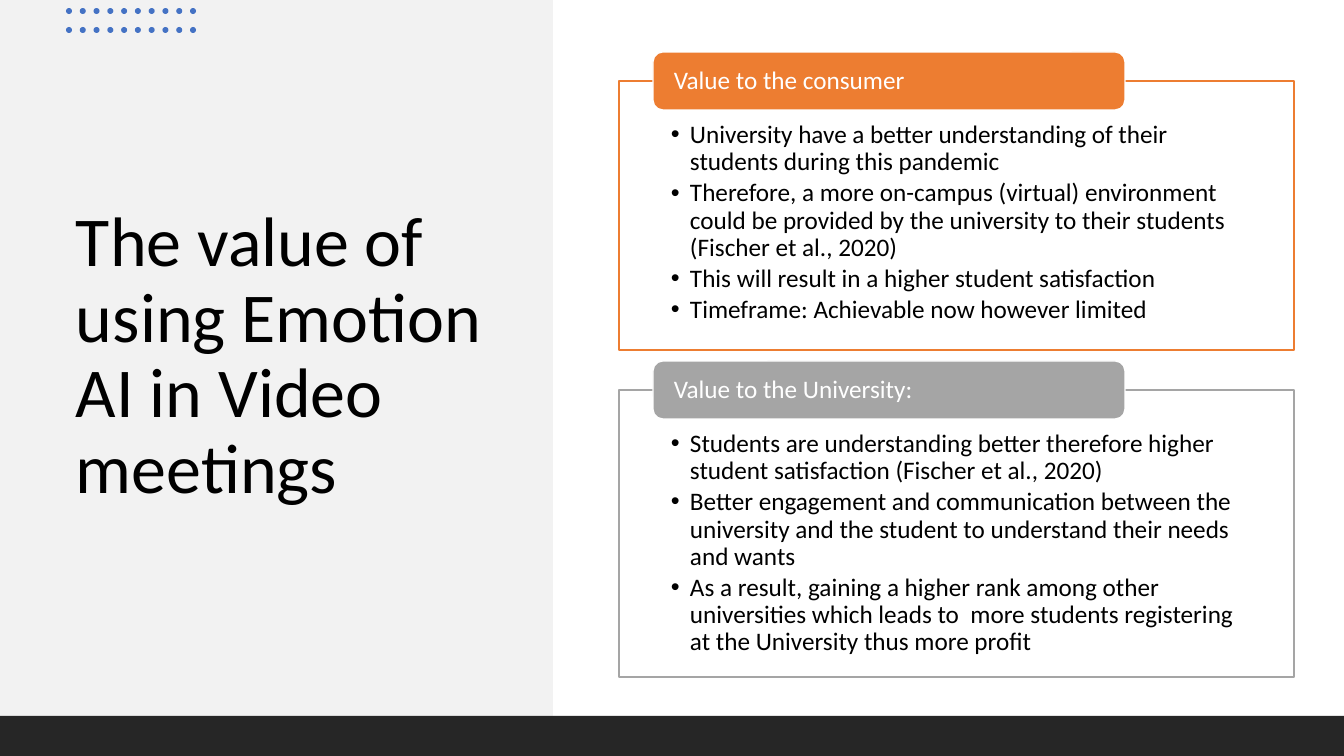
from lxml import etree
from pptx import Presentation
from pptx.dml.color import RGBColor
from pptx.enum.shapes import MSO_SHAPE
from pptx.enum.text import MSO_ANCHOR, PP_ALIGN
from pptx.oxml.ns import qn
from pptx.util import Pt

RECT, ROUND, OVAL = MSO_SHAPE.RECTANGLE, MSO_SHAPE.ROUNDED_RECTANGLE, MSO_SHAPE.OVAL
TOP, MIDDLE, LEFT = MSO_ANCHOR.TOP, MSO_ANCHOR.MIDDLE, PP_ALIGN.LEFT

TITLE = "The value of using Emotion AI in Video meetings"
# heading, colour, box top, box height, points
VALUES = [
    ("Value to the consumer", "ED7D31", 81, 269, [
        "University have a better understanding of their students during this pandemic",
        "Therefore, a more on-campus (virtual) environment could be provided by the "
        "university to their students (Fischer et al., 2020)",
        "This will result in a higher student satisfaction",
        "Timeframe: Achievable now however limited",
    ]),
    ("Value to the University:", "A5A5A5", 390, 287, [
        "Students are understanding better therefore higher student satisfaction "
        "(Fischer et al., 2020)",
        "Better engagement and communication between the university and the student to "
        "understand their needs and wants",
        "As a result, gaining a higher rank among other universities which leads to  more "
        "students registering at the University thus more profit",
    ]),
]

FONT = "Calibri"
BLACK, WHITE = "000000", "FFFFFF"
PANEL, FOOTER, DOT = "F2F2F2", "262626", "4472C4"
SLIDE_W, SLIDE_H = 1344, 756
PANEL_W, FOOTER_TOP = 553, 716
DOT_LEFT, DOT_SPAN, DOT_COLUMNS, DOT_ROWS, DOT_SIZE = 66, 124, 10, (8, 27), 6
BOX_LEFT, BOX_W = 619, 675
TAB_LEFT, TAB_W, TAB_H = 653, 472, 58
HANGING = 19


def px(length):
    return round(length * 914400 / 100.8)


def rgb(value):
    return RGBColor.from_string(value)


def add_block(kind, box, fill, line=None):
    block = slide.shapes.add_shape(kind, *map(px, box))
    block.shadow.inherit = False
    block.fill.solid()
    block.fill.fore_color.rgb = rgb(fill)
    if line:
        block.line.color.rgb = rgb(line)
        block.line.width = Pt(1)
    else:
        block.line.fill.background()
    return block


def write(block, paragraphs, size, color, anchor, insets, space_after=0, bullets=False):
    """Fill the block with paragraphs; insets are left, top, right, bottom in px."""
    frame = block.text_frame
    sides = ("margin_left", "margin_top", "margin_right", "margin_bottom")
    settings = dict(zip(sides, map(px, insets)), word_wrap=True, vertical_anchor=anchor)
    for name, value in settings.items():
        setattr(frame, name, value)
    for index, text in enumerate(paragraphs):
        paragraph = frame.paragraphs[0] if index == 0 else frame.add_paragraph()
        layout = {"alignment": LEFT, "line_spacing": 0.9, "space_after": Pt(space_after)}
        for name, value in layout.items():
            setattr(paragraph, name, value)
        run = paragraph.add_run()
        run.text = text
        for name, value in {"name": FONT, "size": Pt(size)}.items():
            setattr(run.font, name, value)
        run.font.color.rgb = rgb(color)
        if bullets:
            paragraph.level = 1
            properties = paragraph._p.get_or_add_pPr()
            properties.set("marL", str(px(HANGING)))
            properties.set("indent", str(-px(HANGING)))
            etree.SubElement(properties, qn("a:buFont")).set("typeface", "Arial")
            etree.SubElement(properties, qn("a:buChar")).set("char", "•")


def set_opacity(block, percent):
    color = block._element.spPr.find(qn("a:solidFill"))[0]
    etree.SubElement(color, qn("a:alpha")).set("val", str(percent * 1000))


prs = Presentation()
prs.slide_width, prs.slide_height = px(SLIDE_W), px(SLIDE_H)
slide = prs.slides.add_slide(prs.slide_layouts[6])

add_block(RECT, (0, 0, PANEL_W, FOOTER_TOP), PANEL)
title = slide.shapes.add_textbox(*map(px, (66, 133, 427, 449)))
write(title, [TITLE], 50, BLACK, MIDDLE, (10, 5, 10, 5))

for column in range(DOT_COLUMNS):
    dot_left = DOT_LEFT + column * DOT_SPAN / (DOT_COLUMNS - 1)
    for dot_top in DOT_ROWS:
        add_block(OVAL, (dot_left, dot_top, DOT_SIZE, DOT_SIZE), DOT)

add_block(RECT, (0, FOOTER_TOP, SLIDE_W, SLIDE_H - FOOTER_TOP), FOOTER)

for heading, color, top, height, points in VALUES:
    card = add_block(RECT, (BOX_LEFT, top, BOX_W, height), WHITE, color)
    set_opacity(card, 90)
    write(card, points, 18, BLACK, TOP, (52, 41, 52, 14), 2.7, bullets=True)
    tab = add_block(ROUND, (TAB_LEFT, top - TAB_H / 2, TAB_W, TAB_H), color, WHITE)
    write(tab, [heading], 18, WHITE, MIDDLE, (18, 0, 18, 0))

prs.save("out.pptx")
